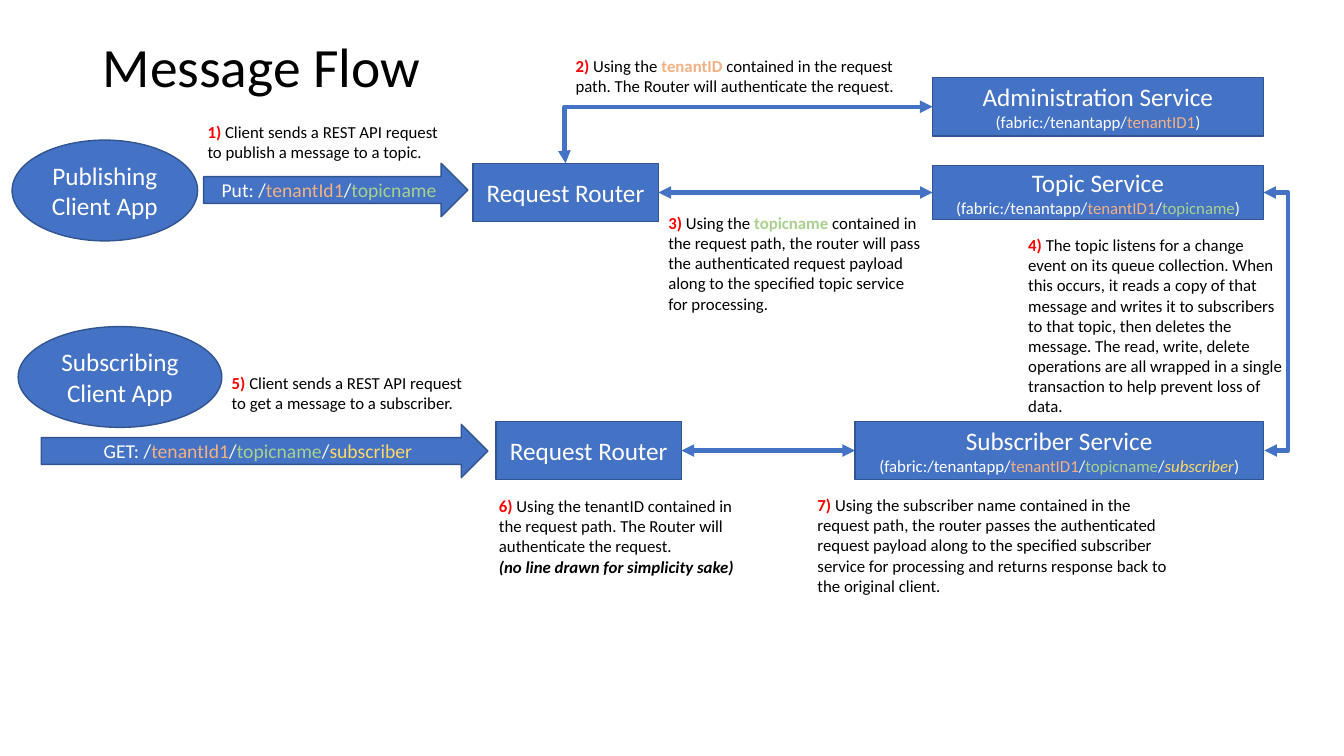
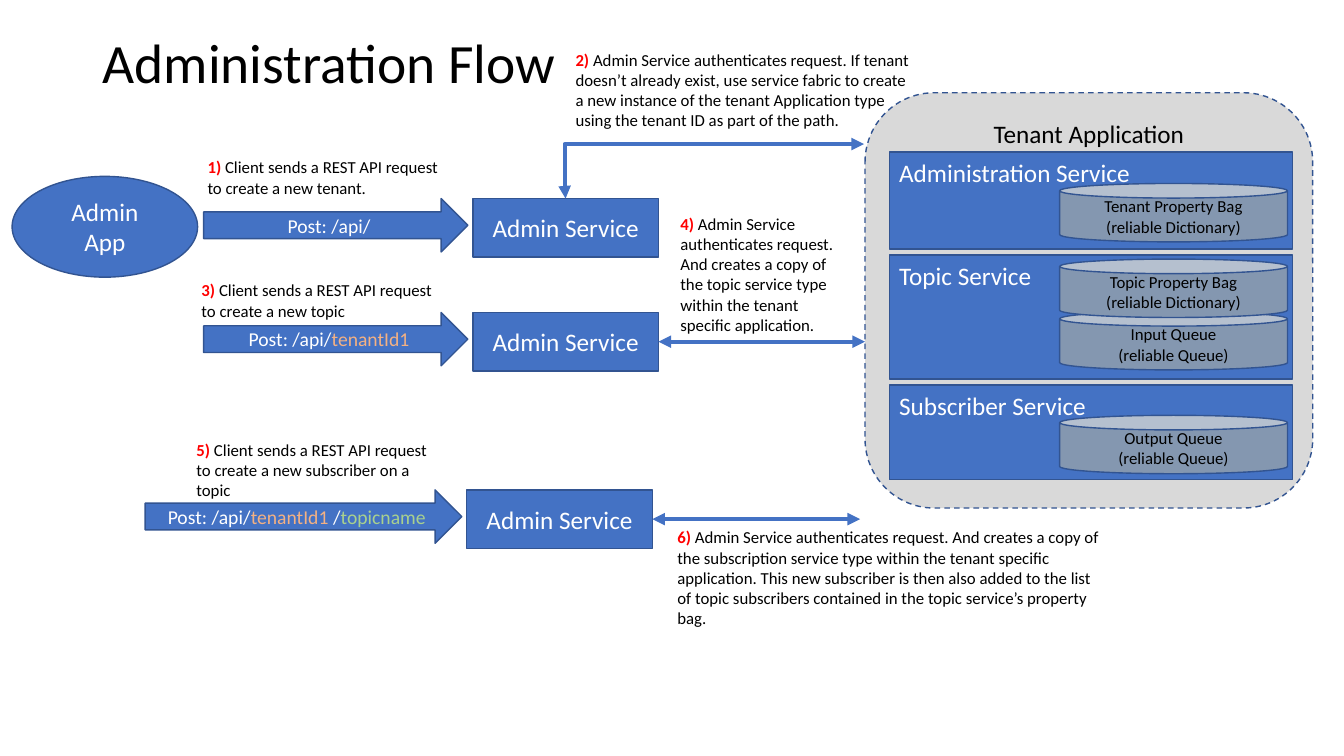
from dataclasses import dataclass
from lxml import etree
from pptx import Presentation
from pptx.dml.color import RGBColor
from pptx.enum.dml import MSO_LINE
from pptx.enum.shapes import MSO_CONNECTOR as Link, MSO_SHAPE as Kind
from pptx.enum.text import MSO_ANCHOR as Anchor, PP_ALIGN as Align
from pptx.oxml.ns import qn
from pptx.util import Inches, Pt


@dataclass(frozen=True)
class Theme:
    font: str = "Calibri"
    blue: str = "4472C4"
    edge: str = "325491"
    panel: str = "D9D9D9"
    store: str = "8497B0"
    white: str = "FFFFFF"
    black: str = "000000"
    red: str = "FF0000"
    orange: str = "F4B183"
    green: str = "A9D18E"
    yellow: str = "FFD966"
    title: float = 39.6
    label: int = 18
    call: int = 14
    note: int = 12
    border: int = 1
    flow: int = 3


T = Theme()

# A paragraph is a list of runs; a run is a string or (text, colour, flags).
TENANT = ("tenantId1", T.orange)
OWNER = ("tenantID1", T.orange)
TOPIC = ("topicname", T.green)
READER = ("subscriber", T.yellow)
ROOT = "(fabric:/tenantapp/"
BOX_W, BOX_H, CALL_H = 1.84, 0.58, 0.53

MESSAGE = dict(
    title="Message Flow",
    spacing=0.9,
    clients=[
        ((0.12, 1.39, 1.84, 1), ["Publishing Client App"]),
        ((0.18, 3.24, 2.02, 1), ["Subscribing Client App"]),
    ],
    calls=[
        (2.02, 1.62, 2.62, ["Put: /", TENANT, "/", TOPIC]),
        (0.41, 4.21, 4.43, ["GET: /", TENANT, "/", TOPIC, "/", READER]),
    ],
    boxes=[(4.69, 1.62, "Request Router"), (4.92, 4.18, "Request Router")],
    notes=[
        (1, (1.96, 1.16, 2.59, 0.5),
         [["Client sends a REST API request to publish a message to a topic."]]),
        (2, (5.61, 0.5, 3.38, 0.5),
         [["Using the ", ("tenantID", T.orange, "b"),
           " contained in the request path. The Router will authenticate "
           "the request."]]),
        (3, (6.53, 2.06, 2.73, 1.11),
         [["Using the ", ("topicname", T.green, "b"),
           " contained in the request path, the router will pass the "
           "authenticated request payload along to the specified topic "
           "service for processing."]]),
        (4, (10.1, 2.28, 2.73, 1.92),
         [["The topic listens for a change event on its queue collection. "
           "When this occurs, it reads a copy of that message and writes it "
           "to subscribers to that topic, then deletes the message. The read, "
           "write, delete operations are all wrapped in a single transaction "
           "to help prevent loss of data."]]),
        (5, (2.2, 3.65, 2.59, 0.5),
         [["Client sends a REST API request to get a message to a "
           "subscriber."]]),
        (6, (4.85, 4.87, 2.58, 0.91),
         [["Using the tenantID contained in the request path. The Router will "
           "authenticate the request."],
          [("(no line drawn for simplicity sake)", T.black, "bi")]]),
        (7, (8.01, 4.86, 3.77, 1.11),
         [["Using the subscriber name contained in the request path, the "
           "router passes the authenticated request payload along to the "
           "specified subscriber service for processing and returns response "
           "back to the original client."]]),
    ],
    # start, end and, for a bent line, the x of its upright part
    flows=[
        ((5.61, 1.62), (9.25, 1.06), 5.6),
        ((6.53, 1.91), (9.25, 1.91), None),
        ((6.76, 4.47), (8.48, 4.47), None),
        ((12.53, 1.91), (12.54, 4.47), 12.78),
    ],
)
SERVICES = [
    ((9.25, 0.77, 3.28, 0.58), "Administration Service", [ROOT, OWNER, ")"]),
    ((9.25, 1.64, 3.28, 0.54), "Topic Service",
     [ROOT, OWNER, "/", TOPIC, ")"]),
    ((8.48, 4.18, 4.05, 0.58), "Subscriber Service",
     [ROOT, OWNER, "/", TOPIC, "/", (*READER, "i"), ")"]),
]

ADMIN = dict(
    title="Administration Flow",
    spacing=0.7,
    clients=[((0.12, 1.75, 1.84, 1), ["Admin", "App"])],
    calls=[
        (2.02, 1.97, 2.62, ["Post: /api/"]),
        (2.02, 3.1, 2.62, ["Post: /api/", TENANT]),
        (1.44, 4.86, 3.14, ["Post: /api/", TENANT, " /", TOPIC]),
    ],
    boxes=[(4.69, 1.97, "Admin Service"), (4.69, 3.1, "Admin Service"),
           (4.63, 4.86, "Admin Service")],
    notes=[
        (1, (1.96, 1.51, 2.59, 0.5),
         [["Client sends a REST API request to create a new tenant."]]),
        (2, (5.61, 0.44, 3.53, 0.91),
         [["Admin Service authenticates request. If tenant doesn’t already "
           "exist, use service fabric to create a new instance of the tenant "
           "Application type using the tenant ID as part of the path."]]),
        (3, (1.9, 2.73, 2.59, 0.5),
         [["Client sends a REST API request to create a new topic"]]),
        (4, (6.65, 2.07, 1.87, 1.31),
         [["Admin Service authenticates request. And creates a copy of the "
           "topic service type within the tenant specific application."]]),
        (5, (1.85, 4.31, 2.59, 0.71),
         [["Client sends a REST API request to create a new subscriber on a "
           "topic"]]),
        (6, (6.62, 5.18, 4.43, 1.11),
         [["Admin Service authenticates request. And creates a copy of the "
           "subscription service type within the tenant specific application. "
           "This new subscriber is then also added to the list of topic "
           "subscribers contained in the topic service’s property bag."]]),
    ],
    flows=[
        ((5.61, 1.97), (8.57, 1.43), 5.6),
        ((6.53, 3.39), (8.58, 3.39), None),
        ((6.47, 5.15), (8.53, 5.15), None),
    ],
)
# name, height and the stores inside: drop from the top, name, type
PARTS = [
    ("Administration Service", 0.96,
     [(0.31, "Tenant Property Bag", "(reliable Dictionary)")]),
    ("Topic Service", 1.23,
     [(0.56, "Input Queue", "(reliable Queue)"),
      (0.04, "Topic Property Bag", "(reliable Dictionary)")]),
    ("Subscriber Service", 0.94,
     [(0.3, "Output Queue", "(reliable Queue)")]),
]
PARTS_TOP, PARTS_GAP = 1.51, 0.06


def rgb(code):
    return RGBColor.from_string(code)


def write(shape, paras, sizes, color=T.white, align=Align.CENTER,
          anchor=Anchor.MIDDLE, spacing=None):
    """Fill a shape with paragraphs; sizes holds one size for each."""
    frame = shape.text_frame
    frame.word_wrap = True
    frame.vertical_anchor = anchor
    for i, (runs, size) in enumerate(zip(paras, sizes)):
        para = frame.paragraphs[0] if i == 0 else frame.add_paragraph()
        para.alignment = align
        if spacing:
            para.line_spacing = spacing
        for item in runs:
            text, tint, flags = ((item, color, "") if isinstance(item, str)
                                 else (*item, "")[:3])
            run = para.add_run()
            run.text = text
            font = run.font
            font.name, font.size = T.font, Pt(size)
            font.bold, font.italic = "b" in flags, "i" in flags
            font.color.rgb = rgb(tint)


def label(slide, at, paras, sizes, **style):
    box = slide.shapes.add_textbox(*map(Inches, at))
    write(box, paras, sizes, **style)


def block(slide, kind, at, paras, sizes, fill=T.blue, **style):
    shape = slide.shapes.add_shape(kind, *map(Inches, at))
    shape.shadow.inherit = False
    shape.fill.solid()
    shape.fill.fore_color.rgb = rgb(fill)
    shape.line.color.rgb = rgb(T.edge)
    shape.line.width = Pt(T.border)
    write(shape, paras, sizes, **style)
    return shape


def flow(slide, start, end, bend):
    """Draw a two-headed line, bent at x = bend if that is given."""
    kind = Link.STRAIGHT if bend is None else Link.ELBOW
    line = slide.shapes.add_connector(kind, *map(Inches, (*start, *end)))
    line.line.color.rgb = rgb(T.blue)
    line.line.width = Pt(T.flow)
    props = line._element.spPr
    if bend is not None:
        ratio = (bend - start[0]) / (end[0] - start[0])
        guides = props.find(qn("a:prstGeom")).get_or_add_avLst()
        etree.SubElement(guides, qn("a:gd"), name="adj1",
                         fmla=f"val {round(ratio * 100000)}")
    stroke = props.find(qn("a:ln"))
    for tip in ("a:headEnd", "a:tailEnd"):
        etree.SubElement(stroke, qn(tip), type="triangle")
    etree.SubElement(props, qn("a:effectLst"))


def base(deck, page):
    """Add a slide with its title, notes, clients, calls and boxes."""
    slide = deck.slides.add_slide(deck.slide_layouts[6])
    label(slide, (0.92, 0.4, 11.5, 0.58), [[page["title"]]], [T.title],
          color=T.black, align=Align.LEFT, spacing=page["spacing"])
    for num, at, (first, *rest) in page["notes"]:
        paras = [[(f"{num}) ", T.red, "b"), *first], *rest]
        label(slide, at, paras, [T.note] * len(paras), color=T.black,
              align=Align.LEFT, anchor=Anchor.TOP)
    for at, names in page["clients"]:
        block(slide, Kind.OVAL, at, [[name] for name in names],
              [T.label] * len(names))
    for x, y, w, runs in page["calls"]:
        block(slide, Kind.RIGHT_ARROW, (x, y, w, CALL_H), [runs], [T.call])
    for x, y, name in page["boxes"]:
        block(slide, Kind.RECTANGLE, (x, y, BOX_W, BOX_H), [[name]], [T.label])
    for ends in page["flows"]:
        flow(slide, *ends)
    return slide


def tenant(slide):
    """Draw the tenant application with its services and stores."""
    panel = block(slide, Kind.ROUNDED_RECTANGLE, (8.58, 0.92, 4.44, 4.12),
                  [["Tenant Application"]], [T.label], fill=T.panel,
                  color=T.black, anchor=Anchor.TOP)
    panel.line.dash_style = MSO_LINE.DASH
    top = PARTS_TOP
    for name, high, stores in PARTS:
        block(slide, Kind.RECTANGLE, (8.82, top, 4, high), [[name]], [T.label],
              align=Align.LEFT, anchor=Anchor.TOP)
        for drop, *lines in stores:
            block(slide, Kind.CAN, (10.51, top + drop, 2.26, BOX_H),
                  [[line] for line in lines], [T.note] * 2,
                  fill=T.store, color=T.black)
        top += high + PARTS_GAP


def main():
    deck = Presentation()
    deck.slide_width, deck.slide_height = Inches(13.33), Inches(7.5)
    slide = base(deck, MESSAGE)
    for at, name, route in SERVICES:
        block(slide, Kind.RECTANGLE, at, [[name], route], [T.label, T.note])
    tenant(base(deck, ADMIN))
    deck.save("out.pptx")


if __name__ == "__main__":
    main()
